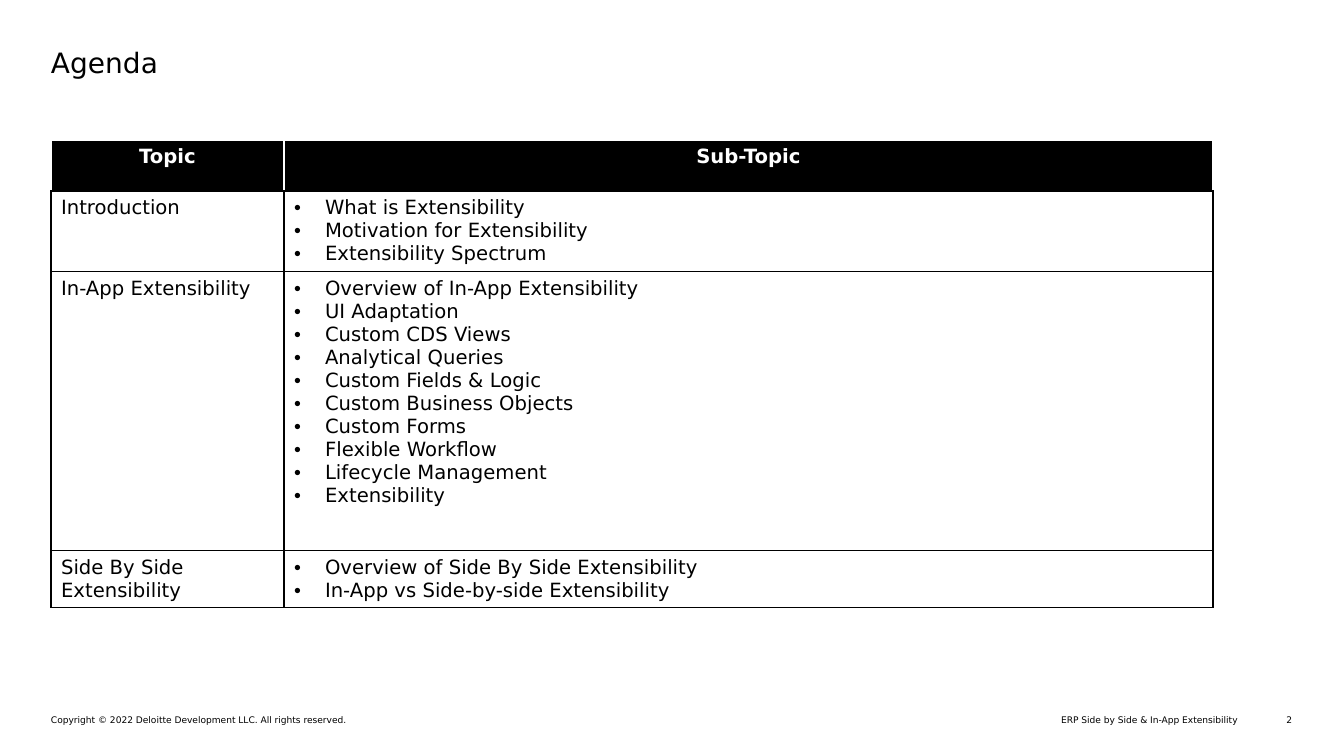
from lxml.etree import SubElement
from pptx import Presentation
from pptx.dml.color import RGBColor
from pptx.enum.text import MSO_ANCHOR as ANCHOR, PP_ALIGN as ALIGN
from pptx.oxml.ns import qn
from pptx.util import Emu, Pt

PX = 914400 / 100.8
FONT = "DejaVu Sans"
BLACK = RGBColor(0, 0, 0)
WHITE = RGBColor(255, 255, 255)


def px(n):
    return Emu(round(n * PX))


def add_text(p, text, size, color=BLACK, bold=False, align=ALIGN.LEFT):
    p.alignment = align
    r = p.add_run()
    r.text = text
    r.font.name = FONT
    r.font.size = Pt(size)
    r.font.bold = bold
    r.font.color.rgb = color


prs = Presentation()
prs.slide_width, prs.slide_height = px(1344), px(756)
s = prs.slides.add_slide(prs.slide_layouts[5])

title = s.shapes.title
title.left, title.top, title.width, title.height = px(51), px(44), px(1241), px(37)
tf = title.text_frame
tf.margin_left = tf.margin_right = tf.margin_top = tf.margin_bottom = 0
tf.vertical_anchor = ANCHOR.MIDDLE
add_text(tf.paragraphs[0], "Agenda", 20)

footers = [
    (699, 539, ALIGN.RIGHT, "ERP Side by Side & In-App Extensibility"),
    (51, 591, ALIGN.LEFT, "Copyright © 2022 Deloitte Development LLC. All rights reserved."),
    (1258, 34, ALIGN.RIGHT, "2"),
]
for left, width, align, text in footers:
    tf = s.shapes.add_textbox(px(left), px(714), px(width), px(11)).text_frame
    tf.margin_left = tf.margin_right = tf.margin_top = tf.margin_bottom = 0
    tf.word_wrap = True
    add_text(tf.paragraphs[0], text, 6.5, align=align)

agenda = [
    ("Topic", ["Sub-Topic"]),
    ("Introduction", [
        "What is Extensibility",
        "Motivation for Extensibility",
        "Extensibility Spectrum",
    ]),
    ("In-App Extensibility", [
        "Overview of In-App Extensibility",
        "UI Adaptation",
        "Custom CDS Views",
        "Analytical Queries",
        "Custom Fields & Logic",
        "Custom Business Objects",
        "Custom Forms",
        "Flexible Workflow",
        "Lifecycle Management",
        "Extensibility",
    ]),
    ("Side By Side Extensibility", [
        "Overview of Side By Side Extensibility",
        "In-App vs Side-by-side Extensibility",
    ]),
]
col_widths = [233, 929]
row_heights = [51, 79, 279, 56]
table = s.shapes.add_table(len(agenda), 2, px(51), px(140),
                           px(sum(col_widths)), px(sum(row_heights))).table
for col, width in zip(table.columns, col_widths):
    col.width = px(width)
for row, height in zip(table.rows, row_heights):
    row.height = px(height)

for i, (topic, subtopics) in enumerate(agenda):
    header = i == 0
    for j, lines in enumerate([[topic], subtopics]):
        cell = table.cell(i, j)
        tcPr = cell._tc.get_or_add_tcPr()
        for side in ("lnL", "lnR", "lnT", "lnB"):
            ln = SubElement(tcPr, qn(f"a:{side}"), w=str(Pt(1)))
            edge = WHITE if header and side != "lnB" else BLACK
            SubElement(SubElement(ln, qn("a:solidFill")), qn("a:srgbClr"), val=str(edge))
        cell.fill.solid()
        cell.fill.fore_color.rgb = BLACK if header else WHITE
        tf = cell.text_frame
        for n, line in enumerate(lines):
            p = tf.add_paragraph() if n else tf.paragraphs[0]
            if j and not header:
                pPr = p._p.get_or_add_pPr()
                pPr.set("marL", str(px(31)))
                pPr.set("indent", str(-px(31)))
                SubElement(pPr, qn("a:buFont"), typeface="Arial")
                SubElement(pPr, qn("a:buChar"), char="•")
            add_text(p, line, 14, WHITE if header else BLACK, header,
                     ALIGN.CENTER if header else ALIGN.LEFT)

prs.save("out.pptx")
